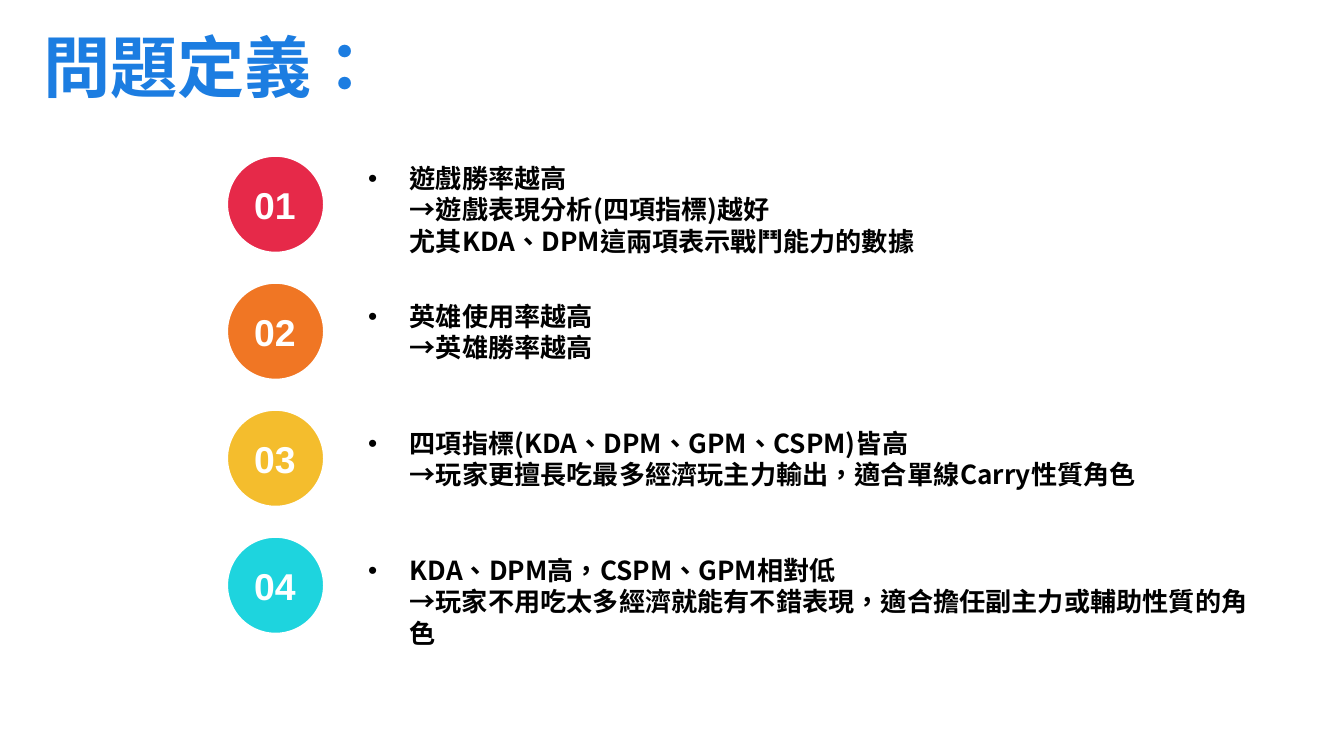
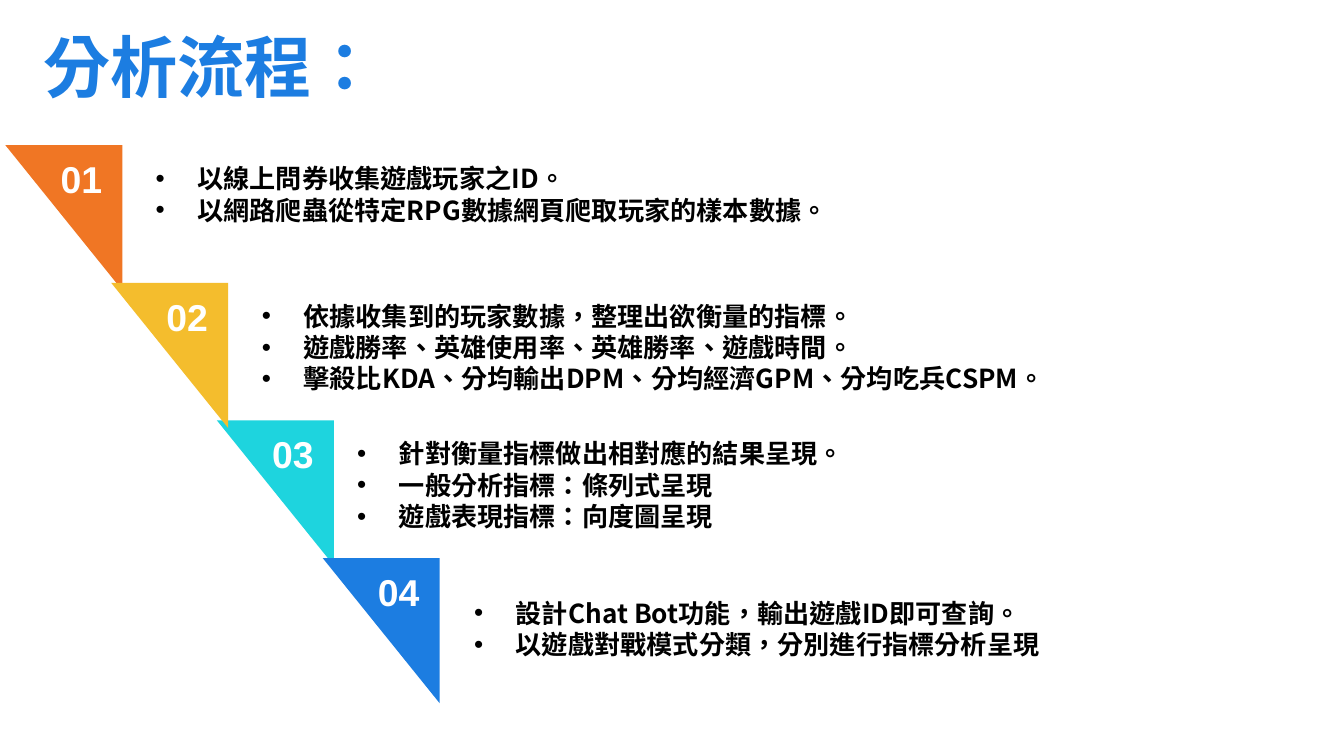
"""Build two slides: the problem definitions and the analysis steps."""
from lxml.etree import SubElement
from pptx import Presentation
from pptx.dml.color import RGBColor
from pptx.enum.shapes import MSO_SHAPE as Shape
from pptx.enum.text import MSO_ANCHOR as Anchor, MSO_AUTO_SIZE as AutoSize, PP_ALIGN as Align
from pptx.oxml.ns import qn
from pptx.util import Inches, Pt

WIDTH = 10
HEIGHT = WIDTH * 9 / 16
RED, ORANGE, YELLOW, CYAN, BLUE = "E62949", "F07624", "F4BD2D", "1ED4DE", "1C7DE1"
WHITE, BLACK = "FFFFFF", "000000"
LATIN, CJK = "Arial", "Noto Sans CJK SC"
LABEL_W, LABEL_H = 0.51, 0.34
INDENT = 0.31
FIRST_TOP = 1.16

DEFINITIONS_TITLE = "問題定義："
DEFINITIONS = [
    (RED, 0, 4.72, ["遊戲勝率越高", "→遊戲表現分析(四項指標)越好", "尤其KDA、DPM這兩項表示戰鬥能力的數據"]),
    (ORANGE, 0.08, 4.65, ["英雄使用率越高", "→英雄勝率越高"]),
    (YELLOW, 0.08, 5.98, ["四項指標(KDA、DPM、GPM、CSPM)皆高",
                          "→玩家更擅長吃最多經濟玩主力輸出，適合單線Carry性質角色"]),
    (CYAN, 0.08, 6.93, ["KDA、DPM高，CSPM、GPM相對低",
                        "→玩家不用吃太多經濟就能有不錯表現，適合擔任副主力或輔助性質的角色"]),
]

STEPS_TITLE = "分析流程："
STEPS = [
    (ORANGE, 1.06, 0, 5.12, ["以線上問券收集遊戲玩家之ID。", "以網路爬蟲從特定RPG數據網頁爬取玩家的樣本數據。"]),
    (YELLOW, 1.85, 0, 6.06, ["依據收集到的玩家數據，整理出欲衡量的指標。",
                             "遊戲勝率、英雄使用率、英雄勝率、遊戲時間。",
                             "擊殺比KDA、分均輸出DPM、分均經濟GPM、分均吃兵CSPM。"]),
    (CYAN, 2.56, 0, 6.06, ["針對衡量指標做出相對應的結果呈現。", "一般分析指標：條列式呈現", "遊戲表現指標：向度圖呈現"]),
    (BLUE, 3.43, 0.16, 6.06, ["設計Chat Bot功能，輸出遊戲ID即可查詢。", "以遊戲對戰模式分類，分別進行指標分析呈現"]),
]
TRIANGLE_ORDER = (2, 0, 1, 3)


def color(hex_value):
    return RGBColor.from_string(hex_value)


def box(left, top, width, height):
    return [Inches(length) for length in (left, top, width, height)]


def add_run(paragraph, text, size, font_name, hex_value):
    run = paragraph.add_run()
    run.text = text
    font = run.font
    font.name, font.size, font.bold = font_name, Pt(size), True
    font.color.rgb = color(hex_value)
    props = run._r.get_or_add_rPr()
    props.set("lang", "zh-TW")
    SubElement(props, qn("a:ea"), typeface=font_name)


def add_titled_slide(deck, title):
    slide = deck.slides.add_slide(deck.slide_layouts[5])
    heading = slide.shapes.title
    heading.left, heading.top, heading.width, heading.height = box(0.2, 0, 2.24, 0.97)
    frame = heading.text_frame
    frame.auto_size, frame.vertical_anchor = AutoSize.NONE, Anchor.MIDDLE
    frame.paragraphs[0].alignment = Align.CENTER
    add_run(frame.paragraphs[0], title, 36, CJK, BLUE)
    return slide


def add_marker(shapes, kind, place, fill, outline=None):
    marker = shapes.add_shape(kind, *box(*place))
    marker.shadow.inherit = False
    marker.fill.solid()
    marker.fill.fore_color.rgb = color(fill)
    if outline:
        marker.line.color.rgb = color(outline)
        marker.line.width = Pt(1)
    else:
        marker.line.fill.background()
    return marker


def add_number(shapes, index, left, top):
    frame = shapes.add_textbox(*box(left, top, LABEL_W, LABEL_H)).text_frame
    frame.word_wrap, frame.vertical_anchor = False, Anchor.MIDDLE
    frame.margin_top = frame.margin_bottom = 0
    frame.paragraphs[0].alignment = Align.CENTER
    add_run(frame.paragraphs[0], f"{index + 1:02d}", 20, LATIN, WHITE)


def add_bullets(slide, left, top, width, bullets):
    """Add one bullet per list of lines."""
    line_count = sum(len(lines) for lines in bullets)
    height = 0.1 + 0.236 * line_count
    frame = slide.shapes.add_textbox(*box(left, top, width, height)).text_frame
    frame.word_wrap, frame.auto_size = True, AutoSize.SHAPE_TO_FIT_TEXT
    for number, lines in enumerate(bullets):
        paragraph = frame.add_paragraph() if number else frame.paragraphs[0]
        paragraph.line_spacing = Pt(16.8)
        props = paragraph._p.get_or_add_pPr()
        props.set("marL", str(Inches(INDENT)))
        props.set("indent", str(-Inches(INDENT)))
        SubElement(props, qn("a:buFont"), typeface=LATIN)
        SubElement(props, qn("a:buChar"), char="•")
        for position, line in enumerate(lines):
            if position:
                paragraph.add_line_break()
            add_run(paragraph, line, 14, CJK, BLACK)


def build_definitions(deck):
    slide = add_titled_slide(deck, DEFINITIONS_TITLE)
    left, size, pitch = 1.69, 0.72, 0.945
    for index, (fill, drop, width, lines) in enumerate(DEFINITIONS):
        top = FIRST_TOP + index * pitch
        shapes = slide.shapes.add_group_shape().shapes
        add_marker(shapes, Shape.OVAL, (left, top, size, size), fill, WHITE)
        add_number(shapes, index, left + 0.1, top + 0.19)
        add_bullets(slide, 2.64, top + drop, width, [lines])


def build_steps(deck):
    slide = add_titled_slide(deck, STEPS_TITLE)
    across, down = 0.787, 1.024
    shapes = slide.shapes.add_group_shape().shapes
    for index in TRIANGLE_ORDER:
        place = (0.04 + index * across, 1.08 + index * down, 0.87, 1.08)
        add_marker(shapes, Shape.RIGHT_TRIANGLE, place, STEPS[index][0]).rotation = 180
    for index, (_, left, drop, width, points) in enumerate(STEPS):
        top = FIRST_TOP + index * down
        add_number(shapes, index, 0.35 + index * across, top)
        add_bullets(slide, left, top + drop, width, [[point] for point in points])


def main():
    deck = Presentation()
    deck.slide_width, deck.slide_height = Inches(WIDTH), Inches(HEIGHT)
    build_definitions(deck)
    build_steps(deck)
    deck.save("out.pptx")


if __name__ == "__main__":
    main()
